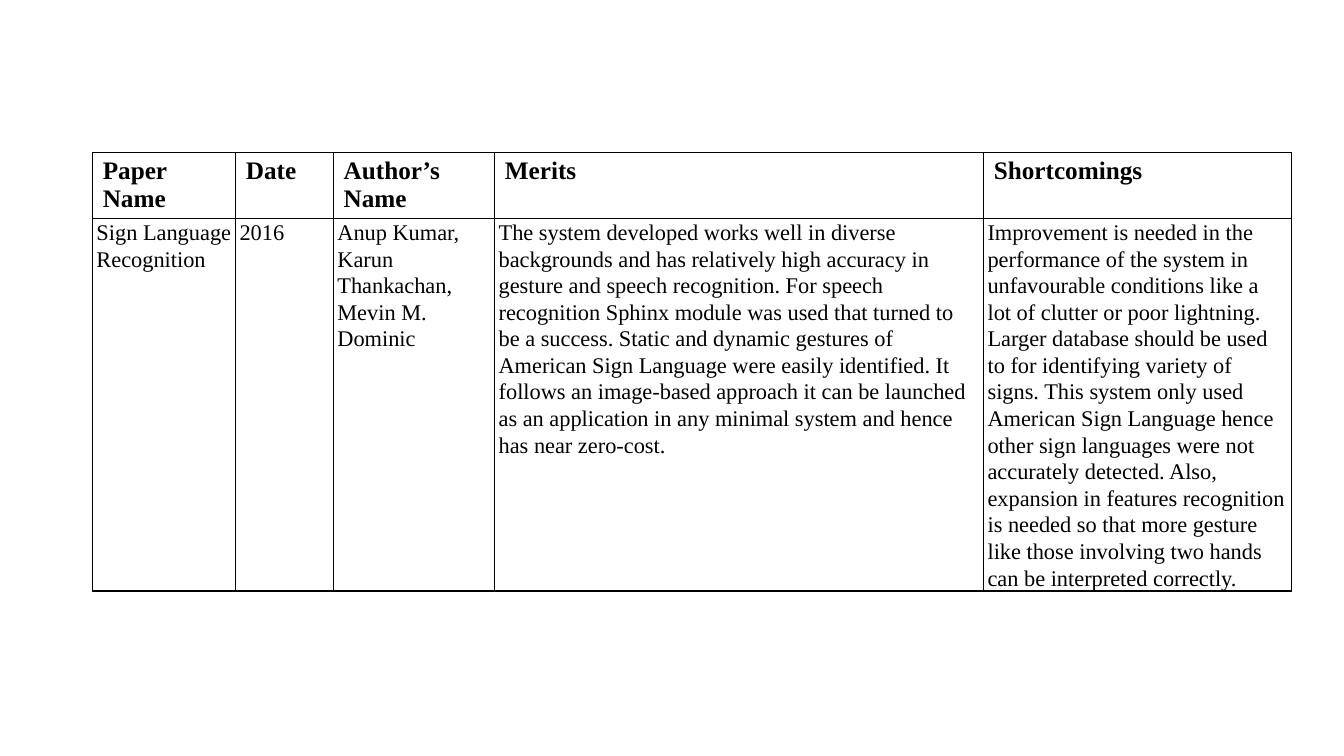
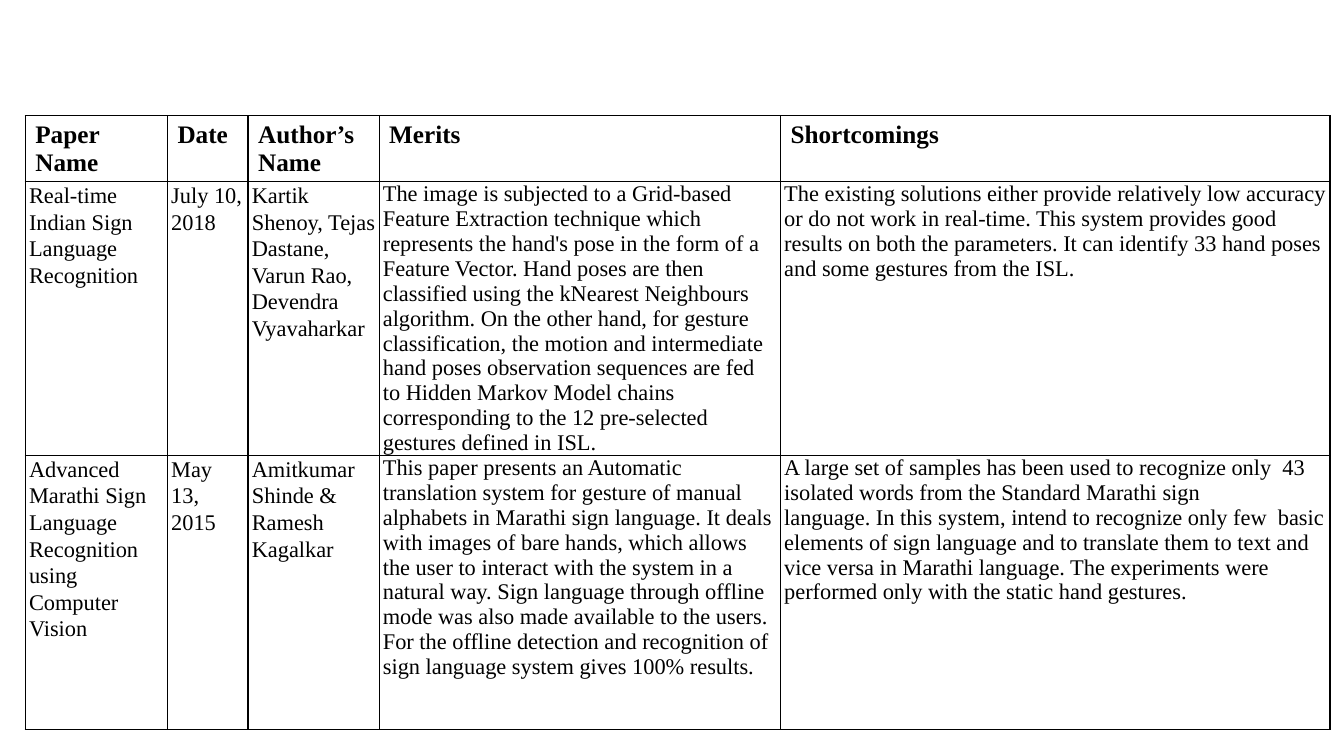
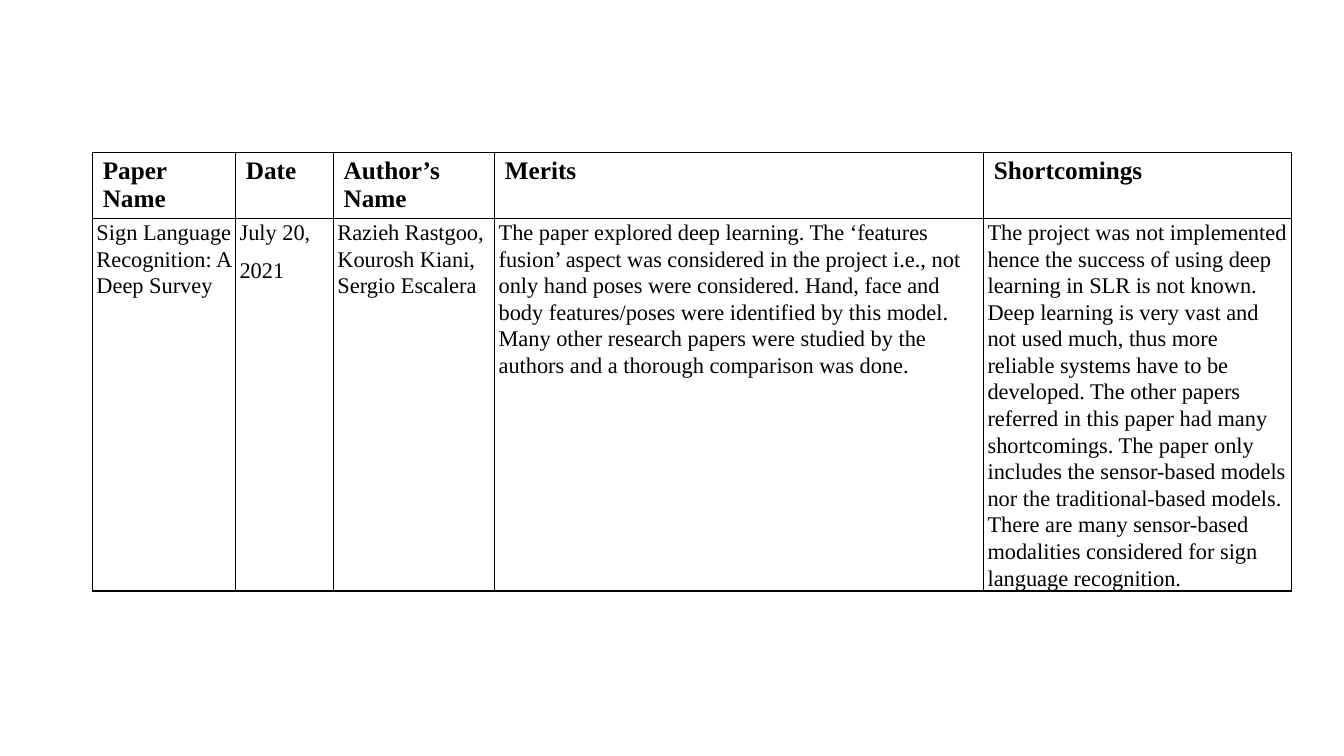
"""Build a three-slide literature survey of sign language recognition papers."""
import dataclasses

import lxml.etree
import pptx
import pptx.dml.color
import pptx.oxml.ns
import pptx.util


@dataclasses.dataclass(frozen=True)
class Theme:
    font: str = "Times New Roman"
    ink: str = "000000"
    paper: str = "FFFFFF"
    header_size: int = 18
    body_size: int = 16
    border: float = 1
    side_inset: float = 2.7
    line_spacing: float = 1.07
    space_after: float = 8


theme = Theme()
headings = ["Paper Name", "Date", "Author’s Name", "Merits", "Shortcomings"]

wide_grid = {
    "left": 6.9, "top": 20.13,
    "columns": [10.65, 7.28, 12, 36.38, 22.88],
    "rows": [8.8, 44.67],
    "spaced_columns": 5,
}
full_grid = {
    "left": 1.88, "top": 15.33,
    "columns": [10.58, 6, 9.75, 29.86, 40.89],
    "rows": [8.53, 32.67, 36.27],
    "spaced_columns": 3,
}

surveys = [
    (wide_grid, [[
        "Sign Language Recognition",
        "2016",
        "Anup Kumar, Karun Thankachan, Mevin M. Dominic",
        "The system developed works well in diverse backgrounds and has relatively high "
        "accuracy in gesture and speech recognition. For speech recognition Sphinx module "
        "was used that turned to be a success. Static and dynamic gestures of American Sign "
        "Language were easily identified. It follows an image-based approach it can be "
        "launched as an application in any minimal system and hence has near zero-cost.",
        "Improvement is needed in the performance of the system in unfavourable conditions "
        "like a lot of clutter or poor lightning. Larger database should be used to for "
        "identifying variety of signs. This system only used American Sign Language hence "
        "other sign languages were not accurately detected. Also, expansion in features "
        "recognition is needed so that more gesture like those involving two hands can be "
        "interpreted correctly.",
    ]]),
    (full_grid, [[
        "Real-time Indian Sign Language Recognition",
        "July 10, 2018",
        "Kartik Shenoy, Tejas Dastane, Varun Rao, Devendra Vyavaharkar",
        "The image is subjected to a Grid-based Feature Extraction technique which "
        "represents the hand's pose in the form of a Feature Vector. Hand poses are then "
        "classified using the kNearest Neighbours algorithm. On the other hand, for gesture "
        "classification, the motion and intermediate hand poses observation sequences are "
        "fed to Hidden Markov Model chains corresponding to the 12 pre-selected gestures "
        "defined in ISL.",
        "The existing solutions either provide relatively low accuracy or do not work in "
        "real-time. This system provides good results on both the parameters. It can "
        "identify 33 hand poses and some gestures from the ISL.",
    ], [
        "Advanced Marathi Sign Language Recognition using Computer Vision",
        "May 13, 2015",
        "Amitkumar Shinde & Ramesh Kagalkar",
        "This paper presents an Automatic\n"
        "translation system for gesture of manual alphabets in Marathi sign language. It "
        "deals with images of bare hands, which allows the user to interact with the system "
        "in a natural way. Sign language through offline mode was also made available to "
        "the users. For the offline detection and recognition of sign language system gives "
        "100% results.",
        "A large set of samples has been used to recognize only  43 isolated words from the "
        "Standard Marathi sign\n"
        "language. In this system, intend to recognize only few  basic elements of sign "
        "language and to translate them to text and vice versa in Marathi language. The "
        "experiments were  performed only with the static hand gestures.",
    ]]),
    (wide_grid, [[
        "Sign Language Recognition: A Deep Survey",
        "July 20,\n2021",
        "Razieh Rastgoo, Kourosh Kiani, Sergio Escalera",
        "The paper explored deep learning. The ‘features fusion’ aspect was considered in "
        "the project i.e., not only hand poses were considered. Hand, face and body "
        "features/poses were identified by this model. Many other research papers were "
        "studied by the authors and a thorough comparison was done.",
        "The project was not implemented hence the success of using deep learning in SLR is "
        "not known. Deep learning is very vast and not used much, thus more reliable "
        "systems have to be developed. The other papers referred in this paper had many "
        "shortcomings. The paper only includes the sensor-based models nor the "
        "traditional-based models. There are many sensor-based modalities considered for "
        "sign language recognition.",
    ]]),
]


def write(frame, text, *, size, bold=False, spaced=False):
    frame.text = text
    for para in frame.paragraphs:
        if spaced:
            para.line_spacing = theme.line_spacing
            para.space_after = pptx.util.Pt(theme.space_after)
        for span in para.runs:
            span.font.name = theme.font
            span.font.size = pptx.util.Pt(size)
            span.font.bold = bold
            span.font.color.rgb = pptx.dml.color.RGBColor.from_string(theme.ink)


def outline(cell):
    qn = pptx.oxml.ns.qn
    properties = cell._tc.get_or_add_tcPr()
    for side in ("a:lnL", "a:lnR", "a:lnT", "a:lnB"):
        line = lxml.etree.SubElement(properties, qn(side), w=str(pptx.util.Pt(theme.border)))
        fill = lxml.etree.SubElement(line, qn("a:solidFill"))
        lxml.etree.SubElement(fill, qn("a:srgbClr"), val=theme.ink)


deck = pptx.Presentation()
deck.slide_width = pptx.util.Inches(13.33)
deck.slide_height = pptx.util.Inches(7.5)
across = deck.slide_width / 100
down = deck.slide_height / 100

for grid, papers in surveys:
    page = deck.slides.add_slide(deck.slide_layouts[6])
    box = page.shapes.add_table(
        len(grid["rows"]), len(grid["columns"]),
        round(grid["left"] * across), round(grid["top"] * down),
        round(sum(grid["columns"]) * across), round(sum(grid["rows"]) * down),
    )
    table = box.table
    table.first_row = False
    table.horz_banding = False
    for column, share in zip(table.columns, grid["columns"]):
        column.width = round(share * across)
    for row, share in zip(table.rows, grid["rows"]):
        row.height = round(share * down)

    for row_index, texts in enumerate([headings, *papers]):
        for column_index, text in enumerate(texts):
            cell = table.cell(row_index, column_index)
            outline(cell)
            cell.fill.solid()
            cell.fill.fore_color.rgb = pptx.dml.color.RGBColor.from_string(theme.paper)
            if row_index == 0:
                write(cell.text_frame, text, size=theme.header_size, bold=True)
            else:
                cell.margin_left = cell.margin_right = pptx.util.Pt(theme.side_inset)
                cell.margin_top = cell.margin_bottom = 0
                write(cell.text_frame, text, size=theme.body_size,
                      spaced=column_index < grid["spaced_columns"])

deck.save("out.pptx")
